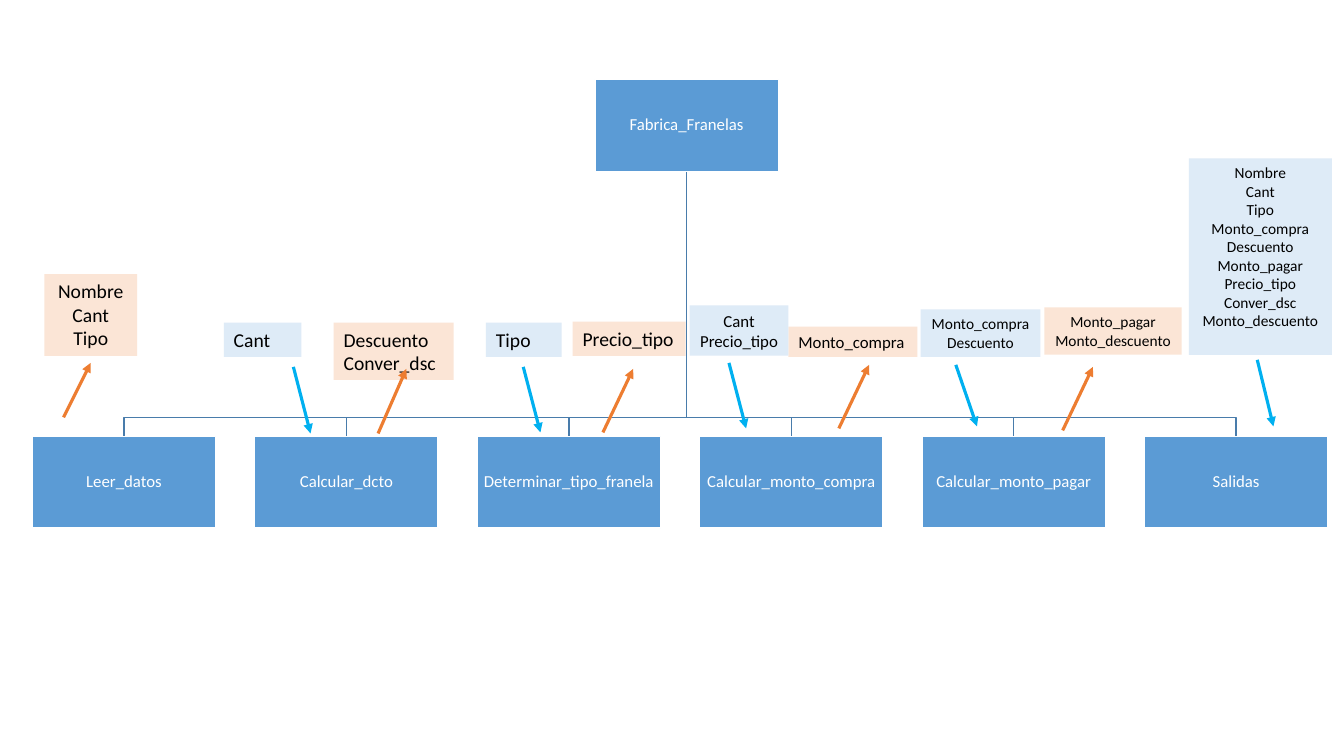
from typing import NamedTuple

from lxml import etree
from pptx import Presentation
from pptx.dml.color import RGBColor
from pptx.enum.shapes import MSO_CONNECTOR, MSO_SHAPE
from pptx.enum.text import MSO_ANCHOR, PP_ALIGN
from pptx.oxml.ns import qn
from pptx.util import Inches, Pt

WHITE = RGBColor(0xFF, 0xFF, 0xFF)
BLACK = RGBColor(0x00, 0x00, 0x00)
MODULE_BLUE = RGBColor(0x5B, 0x9B, 0xD5)
BRANCH_BLUE = RGBColor(0x49, 0x7C, 0xAB)
INPUT_FILL = RGBColor(0xDE, 0xEB, 0xF7)
INPUT_ARROW = RGBColor(0x00, 0xB0, 0xF0)
OUTPUT_FILL = RGBColor(0xFB, 0xE5, 0xD6)
OUTPUT_ARROW = RGBColor(0xED, 0x7D, 0x31)

FONT = "Calibri"
MODULE_W, MODULE_H = 1.82, 0.91
ROOT_LEFT, ROOT_TOP = 5.9, 0.79
ROW_LEFT, ROW_LAST, ROW_TOP = 0.32, 11.35, 4.33
BRANCH_Y = 4.14

MODULES = ["Leer_datos", "Calcular_dcto", "Determinar_tipo_franela",
           "Calcular_monto_compra", "Calcular_monto_pagar", "Salidas"]


class Flow(NamedTuple):
    """Data passed to a module (input) or returned by it (output)."""
    is_input: bool
    box: tuple[float, float, float, float]
    size: int
    align: PP_ALIGN
    names: str
    start: tuple[float, float]
    end: tuple[float, float]


LEFT, CENTER = PP_ALIGN.LEFT, PP_ALIGN.CENTER
FLOWS = [
    Flow(False, (0.44, 2.72, 0.92, 0.81), 14, CENTER, "Nombre Cant Tipo",
         (0.63, 4.14), (0.9, 3.6)),
    Flow(True, (2.22, 3.2, 0.77, 0.34), 14, LEFT, "Cant",
         (2.91, 3.64), (3.08, 4.3)),
    Flow(False, (3.31, 3.2, 1.19, 0.57), 14, LEFT, "Descuento Conver_dsc",
         (3.75, 4.3), (4.03, 3.66)),
    Flow(True, (4.82, 3.2, 0.75, 0.34), 14, LEFT, "Tipo",
         (5.19, 3.64), (5.36, 4.29)),
    Flow(False, (5.68, 3.19, 1.12, 0.34), 14, LEFT, "Precio_tipo",
         (5.98, 4.29), (6.28, 3.66)),
    Flow(False, (7.82, 3.24, 1.28, 0.3), 12, LEFT, "Monto_compra",
         (8.32, 4.25), (8.62, 3.62)),
    Flow(True, (6.84, 3.03, 0.98, 0.5), 12, CENTER, "Cant Precio_tipo",
         (7.23, 3.6), (7.4, 4.25)),
    Flow(True, (9.13, 3.07, 1.19, 0.47), 11, CENTER, "Monto_compra Descuento",
         (9.48, 3.62), (9.69, 4.23)),
    Flow(False, (10.36, 3.05, 1.36, 0.47), 11, CENTER,
         "Monto_pagar Monto_descuento", (10.54, 4.27), (10.84, 3.64)),
    Flow(True, (11.79, 1.57, 1.42, 1.95), 11, CENTER,
         "Nombre Cant Tipo Monto_compra Descuento Monto_pagar Precio_tipo "
         "Conver_dsc Monto_descuento", (12.47, 3.57), (12.63, 4.23)),
]

prs = Presentation()
prs.slide_width, prs.slide_height = Inches(13.33), Inches(7.5)
slide = prs.slides.add_slide(prs.slide_layouts[6])


def add_box(box: tuple[float, float, float, float], fill: RGBColor,
            lines: list[str], size: int, color: RGBColor, align: PP_ALIGN):
    shape = slide.shapes.add_shape(MSO_SHAPE.RECTANGLE, *map(Inches, box))
    shape.shadow.inherit = False
    shape.fill.solid()
    shape.fill.fore_color.rgb = fill
    shape.line.fill.background()
    frame = shape.text_frame
    frame.word_wrap = True
    frame.vertical_anchor = MSO_ANCHOR.TOP
    for i, line in enumerate(lines):
        paragraph = frame.add_paragraph() if i else frame.paragraphs[0]
        paragraph.alignment = align
        run = paragraph.add_run()
        run.text = line
        run.font.name, run.font.size = FONT, Pt(size)
        run.font.color.rgb = color
    return shape


def add_module(left: float, top: float, name: str) -> None:
    shape = add_box((left, top, MODULE_W, MODULE_H), MODULE_BLUE, [name], 12,
                    WHITE, CENTER)
    shape.line.color.rgb, shape.line.width = WHITE, Pt(1)
    frame = shape.text_frame
    frame.vertical_anchor = MSO_ANCHOR.MIDDLE
    frame.margin_left = frame.margin_right = Inches(0.01)
    frame.margin_top = frame.margin_bottom = Inches(0.01)
    frame.paragraphs[0].line_spacing = 0.9


def add_branch(child_x: float) -> None:
    root_x = ROOT_LEFT + MODULE_W / 2
    path = [(root_x, ROOT_TOP + MODULE_H), (root_x, BRANCH_Y),
            (child_x, BRANCH_Y), (child_x, ROW_TOP)]
    points = [(Inches(x), Inches(y)) for x, y in path]
    builder = slide.shapes.build_freeform(*points[0])
    builder.add_line_segments(points[1:], close=False)
    branch = builder.convert_to_shape()
    branch.shadow.inherit = False
    branch.fill.background()
    branch.line.color.rgb, branch.line.width = BRANCH_BLUE, Pt(1)


def add_arrow(start: tuple[float, float], end: tuple[float, float],
              color: RGBColor) -> None:
    arrow = slide.shapes.add_connector(MSO_CONNECTOR.STRAIGHT,
                                       *map(Inches, start + end))
    arrow.line.color.rgb, arrow.line.width = color, Pt(2.25)
    etree.SubElement(arrow.line._get_or_add_ln(), qn("a:tailEnd"),
                     type="triangle")
    etree.SubElement(arrow._element.spPr, qn("a:effectLst"))


# Module hierarchy: branches behind, then the root and its row of children
step = (ROW_LAST - ROW_LEFT) / (len(MODULES) - 1)
lefts = [ROW_LEFT + i * step for i in range(len(MODULES))]
for left in lefts:
    add_branch(left + MODULE_W / 2)
add_module(ROOT_LEFT, ROOT_TOP, "Fabrica_Franelas")
for left, module in zip(lefts, MODULES):
    add_module(left, ROW_TOP, module)

# Data flowing into and out of each module
for flow in FLOWS:
    add_box(flow.box, INPUT_FILL if flow.is_input else OUTPUT_FILL,
            flow.names.split(), flow.size, BLACK, flow.align)
    add_arrow(flow.start, flow.end,
              INPUT_ARROW if flow.is_input else OUTPUT_ARROW)

prs.save("out.pptx")
